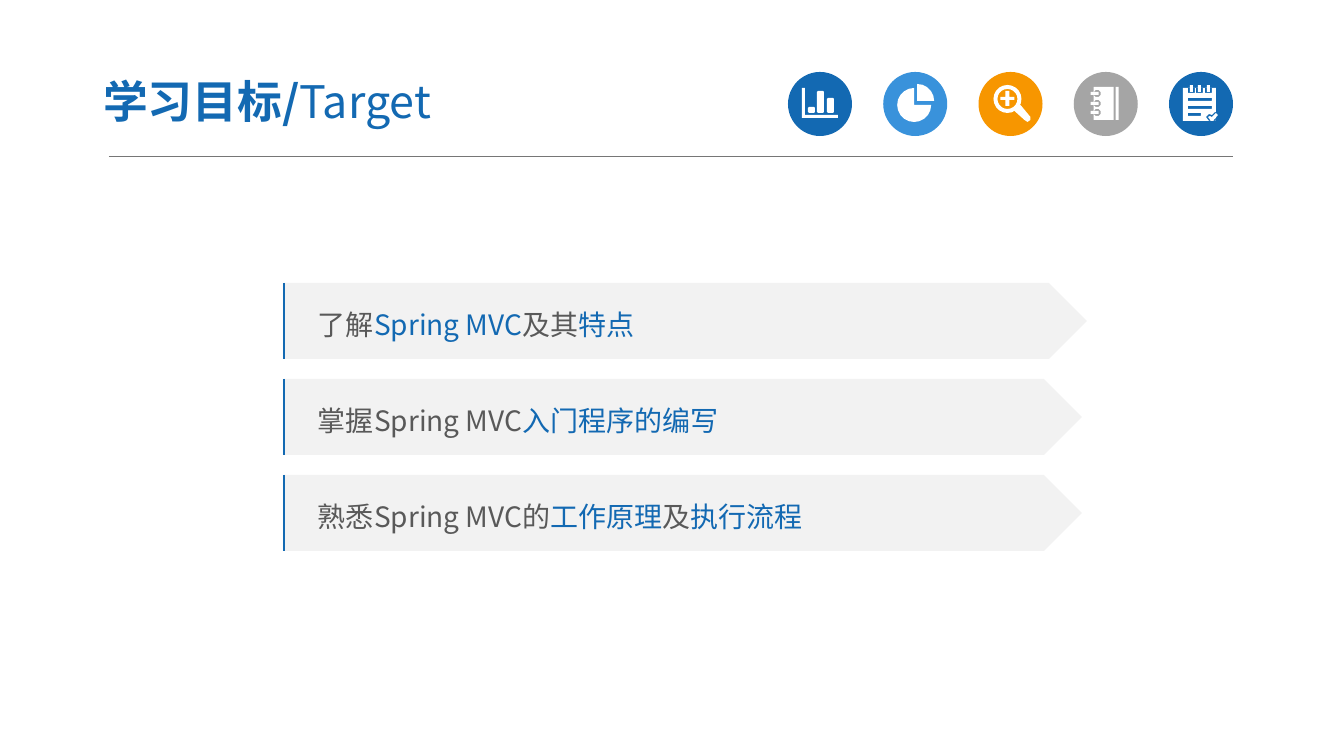
from math import cos, radians, sin

from lxml.etree import SubElement
from pptx import Presentation
from pptx.dml.color import RGBColor
from pptx.enum.shapes import MSO_CONNECTOR, MSO_SHAPE
from pptx.enum.text import MSO_ANCHOR, MSO_AUTO_SIZE, PP_ALIGN
from pptx.oxml.ns import qn
from pptx.util import Emu, Pt

PX_PER_INCH = 100.8
FONT = "Noto Sans CJK SC"
BLUE, SKY, ORANGE, SILVER = "1369B2", "3992DB", "F79600", "A5A5A5"
WHITE, PLATE, INK, RULE = "FFFFFF", "F2F2F2", "595959", "767676"

# Each goal: plate width, then (wording, colour) pieces
GOALS = [
    (804, [("了解", INK), ("Spring MVC", BLUE), ("及其", INK), ("特点", BLUE)]),
    (799, [("掌握Spring MVC", INK), ("入门程序的编写", BLUE)]),
    (799, [("熟悉Spring MVC的", INK), ("工作原理", BLUE), ("及", INK), ("执行流程", BLUE)]),
]


def px(length):
    return Emu(round(length * 914400 / PX_PER_INCH))


def rgb(hex_colour):
    return RGBColor.from_string(hex_colour)


def paint(shape, colour):
    shape.shadow.inherit = False
    shape.fill.solid()
    shape.fill.fore_color.rgb = rgb(colour)
    shape.line.fill.background()


def set_font(paragraph, size):
    """Give the paragraph its font for Latin and East Asian text."""
    paragraph.font.name = FONT
    paragraph.font.size = Pt(size)
    east_asian = SubElement(paragraph.font._element, qn("a:ea"))
    east_asian.set("typeface", FONT)


def add_rule(slide, x1, y1, x2, y2, colour, weight):
    rule = slide.shapes.add_connector(MSO_CONNECTOR.STRAIGHT, px(x1), px(y1), px(x2), px(y2))
    rule.line.color.rgb = rgb(colour)
    rule.line.width = Pt(weight)
    SubElement(rule._element.spPr, qn("a:effectLst"))


def arc(cx, cy, r, start, end):
    """Points along an arc, clockwise in degrees from three o'clock."""
    return [(cx + r * cos(radians(a)), cy + r * sin(radians(a)))
            for a in range(start, end + 1, 18)]


def bar(x, y, w, h):
    return [(x, y), (x + w, y), (x + w, y + h), (x, y + h)]


def cut_bar(x, y, w, h, cut):
    """Outline of a rectangle with its corners cut off."""
    right, bottom = x + w, y + h
    return [(x + cut, y), (right - cut, y), (right, y + cut), (right, bottom - cut),
            (right - cut, bottom), (x + cut, bottom), (x, bottom - cut), (x, y + cut)]


def bar_chart():
    axes = [(14, 16), (17, 16), (17, 43), (50, 43), (50, 46), (14, 46)]
    return [axes] + [cut_bar(x, top, 7, 41 - top, 1) for x, top in [(20, 35), (29, 19), (39, 26)]]


def pie_chart():
    return [[(34, 29)] + arc(34, 29, 17, 270, 360), [(31, 33)] + arc(31, 33, 17, 0, 270)]


def magnifier():
    plus = [(27, 19), (31, 19), (31, 25), (36, 25), (36, 28), (31, 28),
            (31, 34), (27, 34), (27, 28), (22, 28), (22, 25), (27, 25)]
    handle = [(42, 33), (52, 45), (52, 48), (49, 50), (46, 48), (36, 39)]
    return [arc(29, 27, 14, 0, 342), arc(29, 27, 10, 0, 342), plus, handle]


def notebook():
    outlines = [bar(20, 15, 20, 33), bar(42, 15, 3, 33)]
    for y in (18, 28, 37):
        outlines += [cut_bar(20, y, 7, 7, 2), bar(17, y + 2, 8, 3)]
    return outlines


def notepad():
    outlines = [bar(14, 16, 33, 33)]
    for centre in (23, 31, 40):
        outlines += [bar(centre - 4, 16, 7, 5), bar(centre - 2, 13, 3, 7)]
    outlines += [bar(19, y, w, 3) for y, w in [(26, 24), (34, 24), (41, 13)]]
    check_gap = [(37, 45), (40, 42), (43, 43), (46, 40), (47, 40), (47, 49), (40, 49)]
    check = [(39, 45), (41, 44), (43, 45), (47, 41), (49, 43), (44, 49), (42, 49)]
    return outlines + [check_gap, check]


def add_badge(slide, x, y, size, colour, outlines):
    disc = slide.shapes.add_shape(MSO_SHAPE.OVAL, px(x), px(y), px(size), px(size))
    paint(disc, colour)
    placed = [[(px(x + dx), px(y + dy)) for dx, dy in outline] for outline in outlines]
    builder = slide.shapes.build_freeform(*placed[0][0])
    builder.add_line_segments(placed[0][1:])
    for outline in placed[1:]:
        builder.move_to(*outline[0])
        builder.add_line_segments(outline[1:])
    paint(builder.convert_to_shape(), WHITE)


def add_badges(slide, x, y, width, size):
    badges = [(BLUE, bar_chart()), (SKY, pie_chart()), (ORANGE, magnifier()),
              (SILVER, notebook()), (BLUE, notepad())]
    pitch = (width - size) / (len(badges) - 1)
    for i, (colour, outlines) in enumerate(badges):
        add_badge(slide, x + i * pitch, y, size, colour, outlines)


def add_heading(slide, x, y, width, height):
    heading = slide.shapes.title
    heading.left, heading.top, heading.width, heading.height = map(px, (x, y, width, height))
    frame = heading.text_frame
    frame.auto_size = MSO_AUTO_SIZE.NONE
    frame.vertical_anchor = MSO_ANCHOR.MIDDLE
    frame.margin_left = frame.margin_right = px(13)
    frame.margin_top = frame.margin_bottom = px(7)
    paragraph = frame.paragraphs[0]
    paragraph.alignment = PP_ALIGN.LEFT
    set_font(paragraph, 32)
    paragraph.font.color.rgb = rgb(BLUE)
    for wording, bold in [("学习目标/", True), ("Target", False)]:
        run = paragraph.add_run()
        run.text = wording
        run.font.bold = bold


def add_goal(slide, x, y, width, height, pieces):
    plate = slide.shapes.add_shape(MSO_SHAPE.PENTAGON, px(x), px(y), px(width), px(height))
    paint(plate, PLATE)
    frame = plate.text_frame
    frame.word_wrap = True
    frame.vertical_anchor = MSO_ANCHOR.MIDDLE
    frame.margin_left = px(35)
    paragraph = frame.paragraphs[0]
    paragraph.alignment = PP_ALIGN.LEFT
    paragraph.line_spacing = 1.2
    set_font(paragraph, 20)
    for wording, colour in pieces:
        run = paragraph.add_run()
        run.text = wording
        run.font.color.rgb = rgb(colour)
    add_rule(slide, x + 1, y, x + 1, y + height, BLUE, 1.5)


def add_goals(slide, x, y, height, gap):
    for i, (width, pieces) in enumerate(GOALS):
        add_goal(slide, x, y + i * (height + gap), width, height, pieces)


def main():
    deck = Presentation()
    deck.slide_width, deck.slide_height = px(1344), px(756)
    slide = deck.slides.add_slide(deck.slide_layouts[5])
    add_rule(slide, 109, 156, 1233, 156, RULE, 0.5)
    add_badges(slide, 788, 72, 445, 64)
    add_heading(slide, 90, 64, 526, 73)
    add_goals(slide, 283, 283, 76, 20)
    deck.save("out.pptx")


if __name__ == "__main__":
    main()
